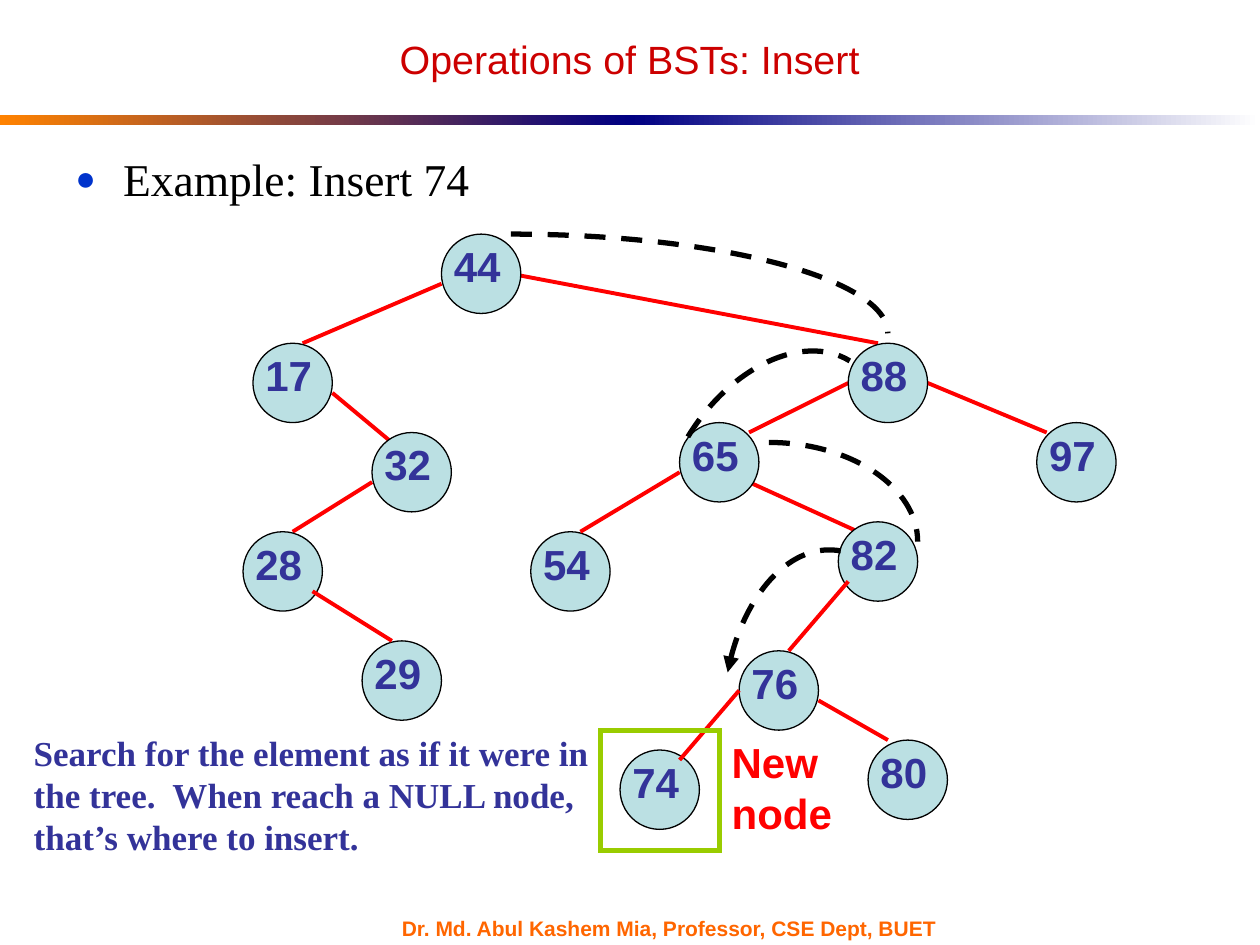
from lxml.etree import SubElement
from pptx import Presentation
from pptx.dml.color import RGBColor
from pptx.enum.dml import MSO_LINE
from pptx.enum.shapes import MSO_CONNECTOR as CONNECTOR, MSO_SHAPE as SHAPE
from pptx.enum.text import MSO_ANCHOR as ANCHOR, MSO_AUTO_SIZE as AUTO_SIZE, PP_ALIGN as ALIGN
from pptx.oxml.ns import qn
from pptx.util import Cm, Pt

ORANGE = RGBColor(0xFF, 0x82, 0x00)
NAVY = RGBColor(0x00, 0x00, 0x82)
WHITE = RGBColor(0xFF, 0xFF, 0xFF)
BLACK = RGBColor(0x00, 0x00, 0x00)
RED = RGBColor(0xFF, 0x00, 0x00)
TITLE_RED = RGBColor(0xCC, 0x00, 0x00)
BULLET_BLUE = RGBColor(0x00, 0x33, 0xCC)
INDIGO = RGBColor(0x33, 0x33, 0x99)
NODE_FILL = RGBColor(0xBB, 0xE0, 0xE3)
GREEN = RGBColor(0x99, 0xCC, 0x00)
FOOTER_ORANGE = RGBColor(0xFF, 0x66, 0x00)
SANS, SERIF = "Arial", "Times New Roman"

# All coordinates below are centimetres
NODE_SIZE = 1.6
TREE_BOX = (4.9, 4.72, 17.6, 12)

# Top-left corner of each node within the tree
NODES = {
    44: (4, 0), 17: (0.2, 2.2), 88: (12.2, 2.2), 32: (2.6, 4),
    65: (8.8, 3.8), 97: (16, 3.8), 28: (0, 6), 54: (5.8, 6),
    82: (12, 5.8), 29: (2.4, 8.2), 76: (10, 8.4), 80: (12.6, 10.2),
    74: (7.6, 10.4),
}
EDGES_BEHIND = [
    ((5.4, 0.8), (12.8, 2.2)),   # 44-88
    ((4, 1), (1.2, 2.2)),        # 44-17
    ((10.2, 5), (12.4, 6)),      # 65-82
    ((13.8, 3), (16.2, 4)),      # 88-97
    ((1.8, 3.2), (3, 4.2)),      # 17-32
    ((12.2, 3), (10.2, 4)),      # 88-65
    ((2.6, 5), (1, 6)),          # 32-28
]
EDGES_IN_FRONT = [
    ((1.4, 7.2), (3, 8.2)),      # 28-29
    ((11.6, 9.4), (13, 10.2)),   # 76-80
    ((8.8, 4.8), (6.8, 6)),      # 65-54
    ((12.2, 7), (11, 8.4)),      # 82-76
    ((10, 9.2), (8.8, 10.6)),    # 76-74
]
# Quarter ellipses of the search route: box, rotation, arrowhead at the start
SEARCH_STEPS = [
    ((5.4, 0, 7.6, 2), 0, False),
    ((10.6, 4.2, 3, 2), 0, False),
    ((9.1, 2.32, 3, 2), 301.2, False),
    ((9.5, 6.71, 2.82, 1.8), 280.4, True),
]
# Bezier control points of a quarter ellipse, as fractions of its box
QUARTER = [(0, 0), (0.55, 0), (1, 0.45), (1, 1)]


def lengths(*values):
    return [Cm(value) for value in values]


def write_text(holder, text, size, color, font=SANS, bold=False, align=ALIGN.LEFT,
               anchor=ANCHOR.TOP, wrap=True, line_spacing=1.0, bullet=None):
    frame = holder.text_frame
    frame.auto_size = AUTO_SIZE.NONE
    frame.word_wrap = wrap
    frame.vertical_anchor = anchor
    frame.margin_left = frame.margin_right = Cm(0.25)
    frame.margin_top = frame.margin_bottom = Cm(0.13)
    paragraph = frame.paragraphs[0]
    paragraph.text = text
    paragraph.alignment = align
    paragraph.line_spacing = line_spacing
    paragraph.space_before = Pt(0)
    if bullet:
        add_bullet(paragraph, bullet)
    style = paragraph.runs[0].font
    style.name, style.size, style.bold = font, Pt(size), bold
    style.color.rgb = color


def add_bullet(paragraph, mark):
    properties = paragraph._p.get_or_add_pPr()
    properties.set("marL", str(Cm(0.96)))
    properties.set("indent", str(-Cm(0.96)))
    color = SubElement(properties, qn("a:buClr"))
    SubElement(color, qn("a:srgbClr"), val=str(BULLET_BLUE))
    SubElement(properties, qn("a:buSzPct"), val="75000")
    SubElement(properties, qn("a:buFont"), typeface=SANS)
    SubElement(properties, qn("a:buChar"), char=mark)


def add_label(slide, box, text, **style):
    write_text(slide.shapes.add_textbox(*lengths(*box)), text, **style)


def place(placeholder, box):
    (placeholder.left, placeholder.top,
     placeholder.width, placeholder.height) = lengths(*box)


def add_header(slide, box):
    left, top, width, height = box
    # Title
    place(slide.shapes.title, (left + 1.27, top + 0.63, width - 2.54, 1.29))
    write_text(slide.shapes.title, "Operations of BSTs: Insert", size=22.5, color=TITLE_RED,
               align=ALIGN.CENTER, anchor=ANCHOR.MIDDLE, line_spacing=0.8)
    # Two-part gradient rule along the bottom
    half = width / 2
    for index, colors in enumerate([(ORANGE, NAVY), (NAVY, WHITE)]):
        rule = slide.shapes.add_shape(
            SHAPE.RECTANGLE, *lengths(left + index * half, top + height - 0.21, half, 0.21))
        rule.shadow.inherit = False
        rule.line.fill.background()
        rule.fill.gradient()
        rule.fill.gradient_angle = 0
        for stop, color in zip(rule.fill.gradient_stops, colors):
            stop.color.rgb = color


def add_example(slide, box):
    body = slide.placeholders[1]
    place(body, box)
    write_text(body, "Example: Insert 74", size=26, color=BLACK, font=SERIF, bullet="●")


def add_edge(slide, box, start, end):
    left, top = box[:2]
    edge = slide.shapes.add_connector(
        CONNECTOR.STRAIGHT,
        *lengths(left + start[0], top + start[1], left + end[0], top + end[1]))
    edge.line.color.rgb = RED
    edge.line.width = Pt(2.25)
    SubElement(edge._element.spPr, qn("a:effectLst"))


def add_node(slide, box, key):
    left, top = box[0] + NODES[key][0], box[1] + NODES[key][1]
    circle = slide.shapes.add_shape(SHAPE.OVAL, *lengths(left, top, NODE_SIZE, NODE_SIZE))
    circle.shadow.inherit = False
    circle.fill.solid()
    circle.fill.fore_color.rgb = NODE_FILL
    circle.line.color.rgb = BLACK
    circle.line.width = Pt(0.75)
    add_label(slide, (left, top, NODE_SIZE, 1.27), str(key), size=24, color=INDIGO, bold=True)


def add_search_step(slide, box, step_box, rotation, arrow):
    left, top, width, height = step_box
    points = [lengths(box[0] + left + x * width, box[1] + top + y * height)
              for x, y in QUARTER]
    builder = slide.shapes.build_freeform(*points[0])
    builder.add_line_segments(points[1:], close=False)
    step = builder.convert_to_shape()
    # Join the three control points into one curve
    outline = next(step._element.iter(qn("a:path")))
    segments = outline.findall(qn("a:lnTo"))
    curve = SubElement(outline, qn("a:cubicBezTo"))
    for segment in segments:
        curve.append(segment[0])
        outline.remove(segment)
    step.rotation = rotation
    step.shadow.inherit = False
    step.fill.background()
    step.line.color.rgb = BLACK
    step.line.width = Pt(3)
    step.line.dash_style = MSO_LINE.DASH
    if arrow:
        SubElement(step.line._get_or_add_ln(), qn("a:headEnd"), type="triangle")


def add_tree(slide, box):
    for start, end in EDGES_BEHIND:
        add_edge(slide, box, start, end)
    for key in NODES:
        add_node(slide, box, key)
    for start, end in EDGES_IN_FRONT:
        add_edge(slide, box, start, end)
    for step_box, rotation, arrow in SEARCH_STEPS:
        add_search_step(slide, box, step_box, rotation, arrow)


def add_new_node_mark(slide, box):
    left, top, width, height = box
    highlight = slide.shapes.add_shape(SHAPE.RECTANGLE, *lengths(left, top, 2.4, height))
    highlight.shadow.inherit = False
    highlight.fill.background()
    highlight.line.color.rgb = GREEN
    highlight.line.width = Pt(3)
    SubElement(highlight.line._get_or_add_ln(), qn("a:miter"), lim="800000")
    add_label(slide, (left + 2.4, top, 3.2, 2.29), "New node", size=24, color=RED, bold=True)


def main():
    deck = Presentation()
    deck.slide_width, deck.slide_height = lengths(25.4, 19.05)
    slide = deck.slides.add_slide(deck.slide_layouts[1])
    add_header(slide, (0, 0, 25.4, 2.53))
    add_example(slide, (1.27, 2.92, 22.86, 12.07))
    add_tree(slide, TREE_BOX)
    add_new_node_mark(slide, (12.1, 14.72, 5.6, 2.42))
    # Explanation and footer
    add_label(slide, (0.43, 14.61, 11.86, 2.8),
              "Search for the element as if it were in the tree.  "
              "When reach a NULL node, that’s where to insert.",
              size=20, color=INDIGO, font=SERIF, bold=True)
    add_label(slide, (7.85, 18.49, 11.86, 0.46),
              "Dr. Md. Abul Kashem Mia, Professor, CSE Dept, BUET",
              size=12, color=FOOTER_ORANGE, bold=True, anchor=ANCHOR.MIDDLE, wrap=False)
    deck.save("out.pptx")


if __name__ == "__main__":
    main()
